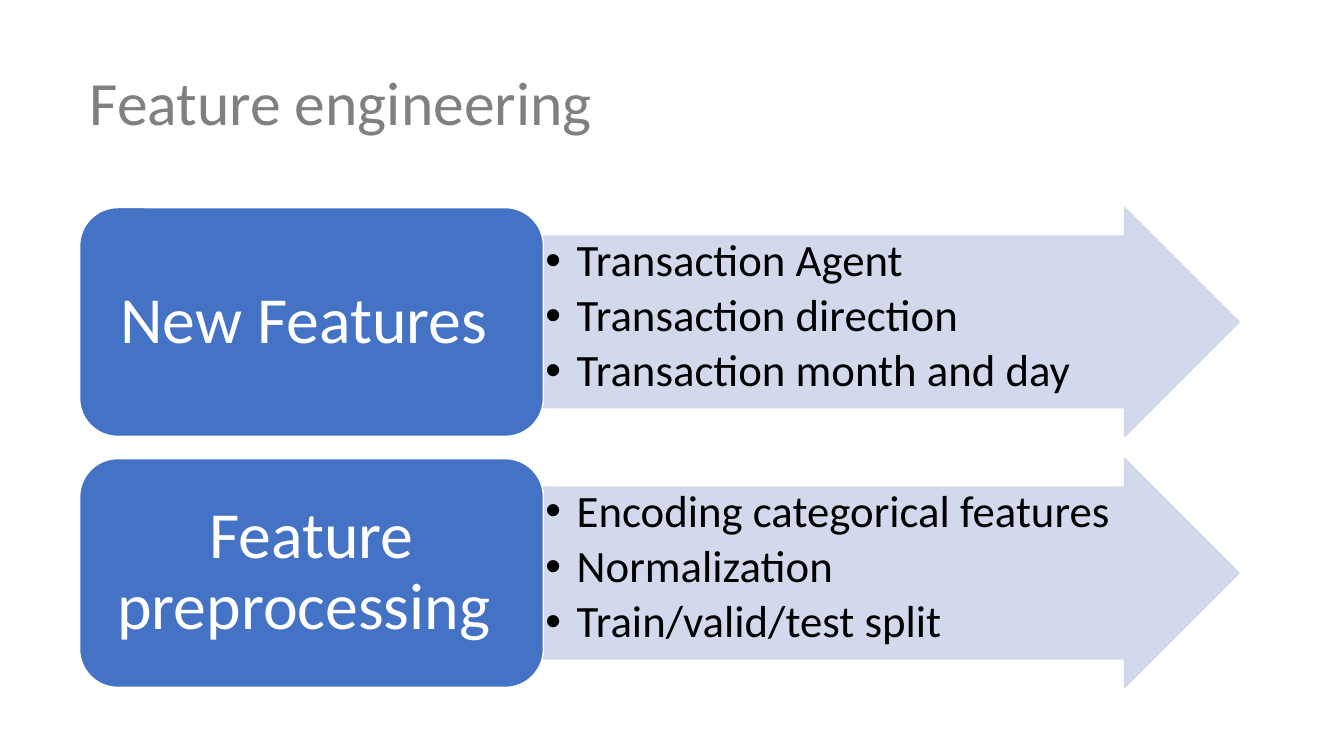
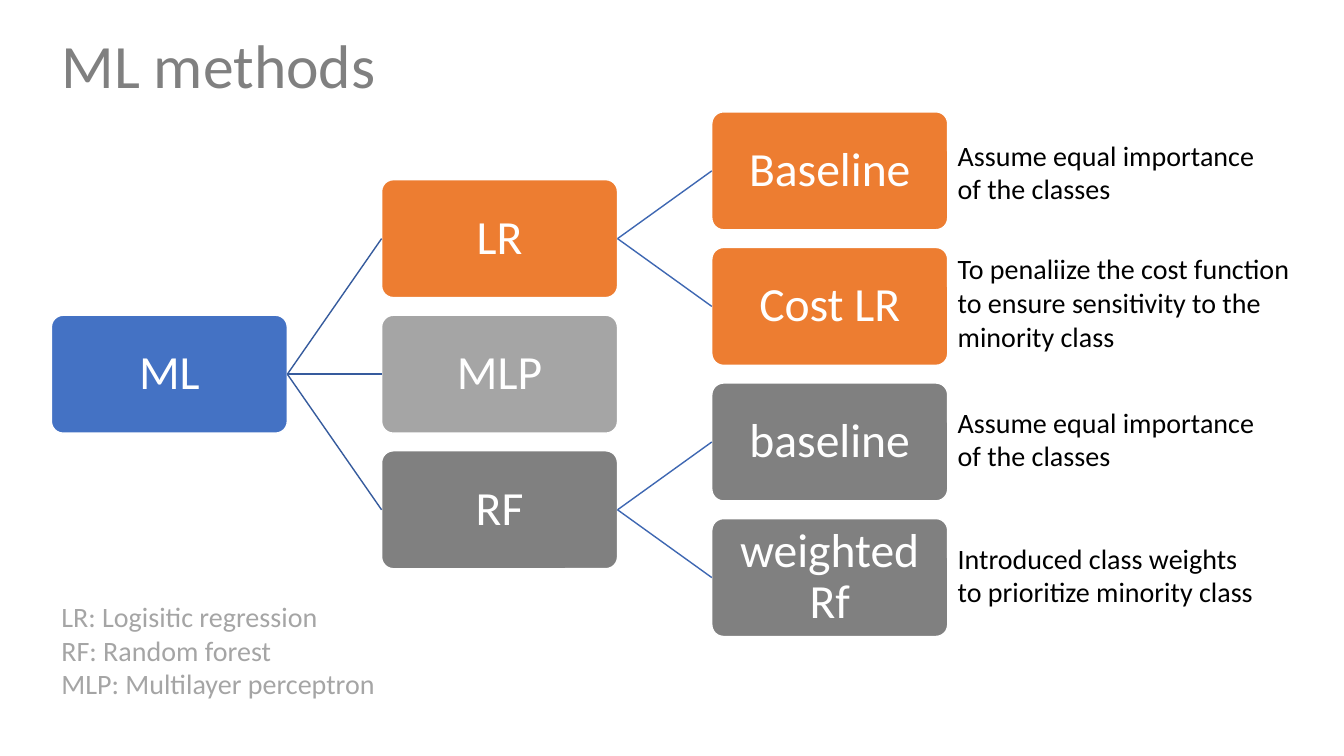
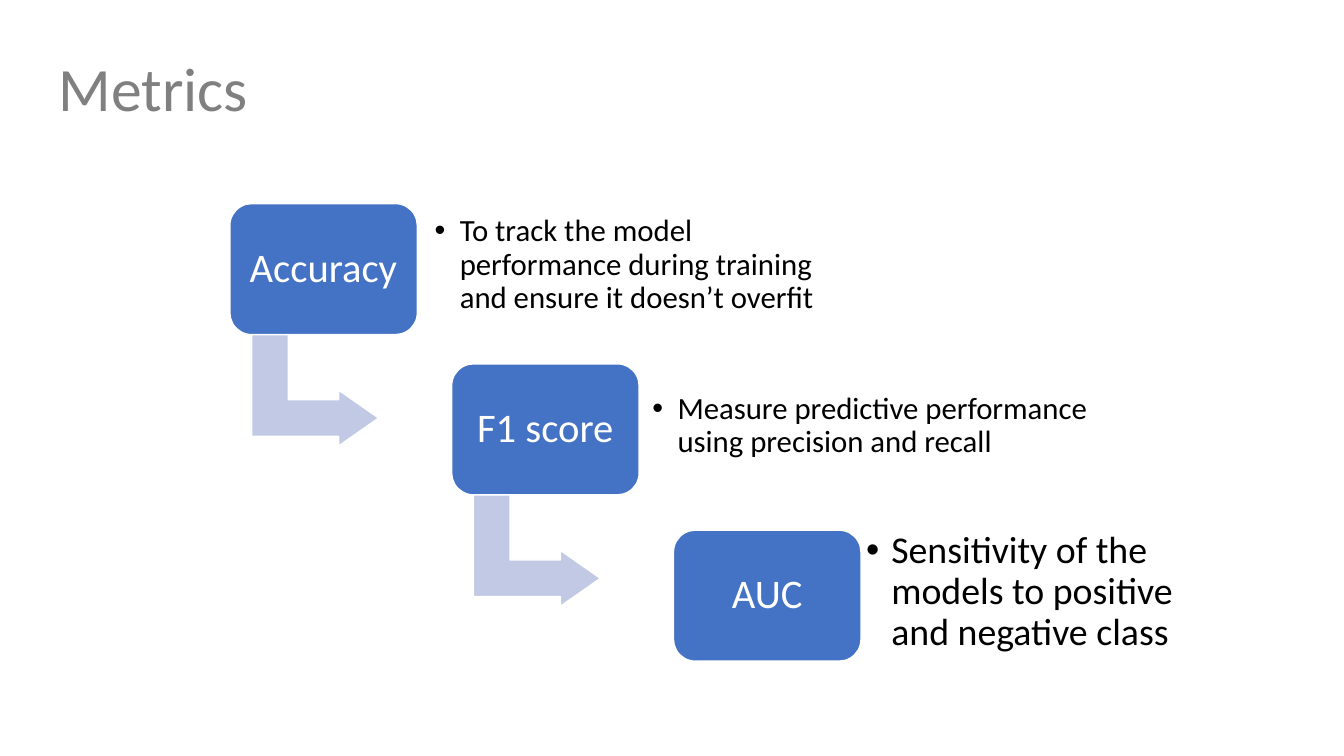
from lxml.etree import SubElement
from pptx import Presentation
from pptx.dml.color import RGBColor
from pptx.enum.shapes import MSO_CONNECTOR, MSO_SHAPE
from pptx.enum.text import MSO_ANCHOR, MSO_AUTO_SIZE, PP_ALIGN
from pptx.oxml.ns import qn
from pptx.util import Inches, Pt

FONT = "Calibri"
WHITE = RGBColor(0xFF, 0xFF, 0xFF)
BLACK = RGBColor(0, 0, 0)
BLUE = RGBColor(0x44, 0x72, 0xC4)
ORANGE = RGBColor(0xED, 0x7D, 0x31)
SILVER = RGBColor(0xA5, 0xA5, 0xA5)
GREY = RGBColor(0x80, 0x80, 0x80)
PALE = RGBColor(0xCF, 0xD5, 0xEA)
LAVENDER = RGBColor(0xC1, 0xC9, 0xE4)
LINK_COLORS = [RGBColor(0x36, 0x5B, 0x9D), RGBColor(0x3E, 0x67, 0xB2)]

TWO_CONTENT, COMPARISON, TITLE_ONLY = 3, 4, 5

FEATURES = [
    ("New Features ",
     ["Transaction Agent", "Transaction direction", "Transaction month and day"]),
    ("Feature preprocessing ",
     ["Encoding categorical features", "Normalization", "Train/valid/test split"]),
]

METHODS = [
    ("ML", 0, 1.5, BLUE, None),
    ("LR", 1, 0.5, ORANGE, "ML"),
    ("MLP", 1, 1.5, SILVER, "ML"),
    ("RF", 1, 2.5, GREY, "ML"),
    ("Baseline", 2, 0, ORANGE, "LR"),
    ("Cost LR", 2, 1, ORANGE, "LR"),
    ("baseline", 2, 2, GREY, "RF"),
    ("weighted Rf", 2, 3, GREY, "RF"),
]
METHOD_NOTES = [
    ("Assume equal importance of the classes", 1.32, 3.17, 0.77),
    ("To penaliize the cost function to ensure sensitivity to the minority class",
     2.45, 3.68, 1.11),
    ("Assume equal importance of the classes", 3.97, 3.17, 0.77),
    ("Introduced class weights to prioritize minority class", 5.32, 3.17, 0.77),
]
LEGEND = ["LR: Logisitic regression", "RF: Random forest", "MLP: Multilayer perceptron"]

METRICS = [
    ("Accuracy", 2.02, "To track the model performance during training and ensure it doesn’t overfit",
     (4.19, 2, 4.09, 1.26), 22, 0.12),
    ("F1 score", 3.61, "Measure predictive performance using precision and recall",
     (6.35, 3.44, 4.96, 1.57), 22, 0.12),
    ("AUC", 5.26, "Sensitivity of the models to positive and negative class",
     (8.44, 5.05, 3.67, 1.65), 27, 0.15),
]


def place(sp, box):
    sp.left, sp.top, sp.width, sp.height = map(Inches, box)


def write(sp, lines, size, color, inset=(0.1, 0.05), anchor=MSO_ANCHOR.MIDDLE,
          align=PP_ALIGN.LEFT, spacing=0.9, after=0):
    tf = sp.text_frame
    tf.text = "\n".join(lines)
    tf.word_wrap = True
    tf.auto_size = MSO_AUTO_SIZE.NONE
    tf.vertical_anchor = anchor
    tf.margin_left = tf.margin_right = Inches(inset[0])
    tf.margin_top = tf.margin_bottom = Inches(inset[1])
    for p in tf.paragraphs:
        p.alignment = align
        p.line_spacing = spacing
        p.space_before = Pt(0)
        p.space_after = Pt(after)
        for r in p.runs:
            r.font.name = FONT
            r.font.size = Pt(size)
            r.font.bold = False
            r.font.color.rgb = color


def add_slide(prs, layout, title, box):
    s = prs.slides.add_slide(prs.slide_layouts[layout])
    place(s.shapes.title, box)
    write(s.shapes.title, [title], 44, GREY)
    return s


def bodies(s):
    return [ph for ph in s.placeholders if 1 <= ph.placeholder_format.idx <= 4]


def bullet_list(s, ph, box, lines, size, indent, inset, anchor):
    place(ph, box)
    write(ph, lines, size, BLACK, (inset, inset), anchor, after=round(size * 0.15, 1))
    for p in ph.text_frame.paragraphs:
        pPr = p._p.get_or_add_pPr()
        pPr.set("marL", str(Inches(indent)))
        pPr.set("indent", str(-Inches(indent)))
        SubElement(pPr, qn("a:buFont"), typeface="Arial")
        SubElement(pPr, qn("a:buChar"), char="•")
    s.shapes.element.append(ph.element)


def add_shape(s, kind, box, fill, line=WHITE, adj=()):
    sp = s.shapes.add_shape(kind, *map(Inches, box))
    sp.shadow.inherit = False
    sp.fill.solid()
    sp.fill.fore_color.rgb = fill
    sp.line.color.rgb = line
    sp.line.width = Pt(1)
    for i, value in enumerate(adj):
        sp.adjustments[i] = value
    return sp


def add_box(s, box, label, size, fill, inset, radius=0.167):
    sp = add_shape(s, MSO_SHAPE.ROUNDED_RECTANGLE, box, fill, adj=[radius])
    write(sp, [label], size, WHITE, inset, align=PP_ALIGN.CENTER)
    return sp


def add_link(s, parent, child, color):
    cx = s.shapes.add_connector(MSO_CONNECTOR.STRAIGHT, 0, 0, 0, 0)
    cx.begin_connect(parent, 3)
    cx.end_connect(child, 1)
    cx.line.color.rgb = color
    cx.line.width = Pt(1)
    SubElement(cx.element.spPr, qn("a:effectLst"))


def add_note(s, box, lines, color):
    sp = s.shapes.add_textbox(*map(Inches, box))
    write(sp, lines, 20, color, anchor=MSO_ANCHOR.TOP, spacing=1.0)


def features_slide(prs):
    s = add_slide(prs, TWO_CONTENT, "Feature engineering", (0.79, 0.49, 11.5, 1.12))
    for i, (ph, (label, items)) in enumerate(zip(bodies(s), FEATURES)):
        top = 2.06 + 2.49 * i
        arrow = add_shape(s, MSO_SHAPE.RIGHT_ARROW, (5.39, top, 6.9, 2.27), PALE, PALE, (0.75, 0.5))
        for clr in arrow.element.spPr.iter(qn("a:srgbClr")):
            SubElement(clr, qn("a:alpha"), val="90000")
        bullet_list(s, ph, (5.39, top + 0.28, 6.05, 1.7), items, 32, 0.31, 0.02, MSO_ANCHOR.TOP)
        add_box(s, (0.79, top, 4.6, 2.27), label, 47, BLUE, (0.2, 0.1))


def methods_slide(prs):
    s = add_slide(prs, TITLE_ONLY, "ML methods", (0.51, 0.26, 11.5, 0.84))
    nodes = {}
    for label, col, row, fill, parent in METHODS:
        box = (0.51 + 3.275 * col, 1.11 + 1.345 * row, 2.34, 1.17)
        nodes[label] = add_box(s, box, label, 34, fill, (0.02, 0.02), 0.1)
        if parent:
            add_link(s, nodes[parent], nodes[label], LINK_COLORS[col - 1])
    for text, top, width, height in METHOD_NOTES:
        add_note(s, (9.4, top, width, height), [text], BLACK)
    add_note(s, (0.51, 5.9, 3.42, 1.11), LEGEND, SILVER)


def metrics_slide(prs):
    s = add_slide(prs, COMPARISON, "Metrics", (0.48, 0.49, 11.5, 0.84))
    *used, spare = bodies(s)
    spare.element.getparent().remove(spare.element)
    for i, (ph, (label, top, text, box, size, inset)) in enumerate(zip(used, METRICS)):
        left = 2.28 + 2.2 * i
        if i < len(METRICS) - 1:
            arrow = add_shape(s, MSO_SHAPE.BENT_UP_ARROW, (left + 0.29, top + 1.22, 1.11, 1.26),
                              LAVENDER, adj=(0.328, 0.25, 0.358))
            arrow.rotation = 90
        add_box(s, (left, top, 1.86, 1.3), label, 29, BLUE, (0.1, 0.1))
        bullet_list(s, ph, box, [text], size, 0.25, inset, MSO_ANCHOR.MIDDLE)


def main():
    prs = Presentation()
    prs.slide_width = Inches(13.33)
    prs.slide_height = Inches(7.5)
    features_slide(prs)
    methods_slide(prs)
    metrics_slide(prs)
    prs.save("out.pptx")


if __name__ == "__main__":
    main()
